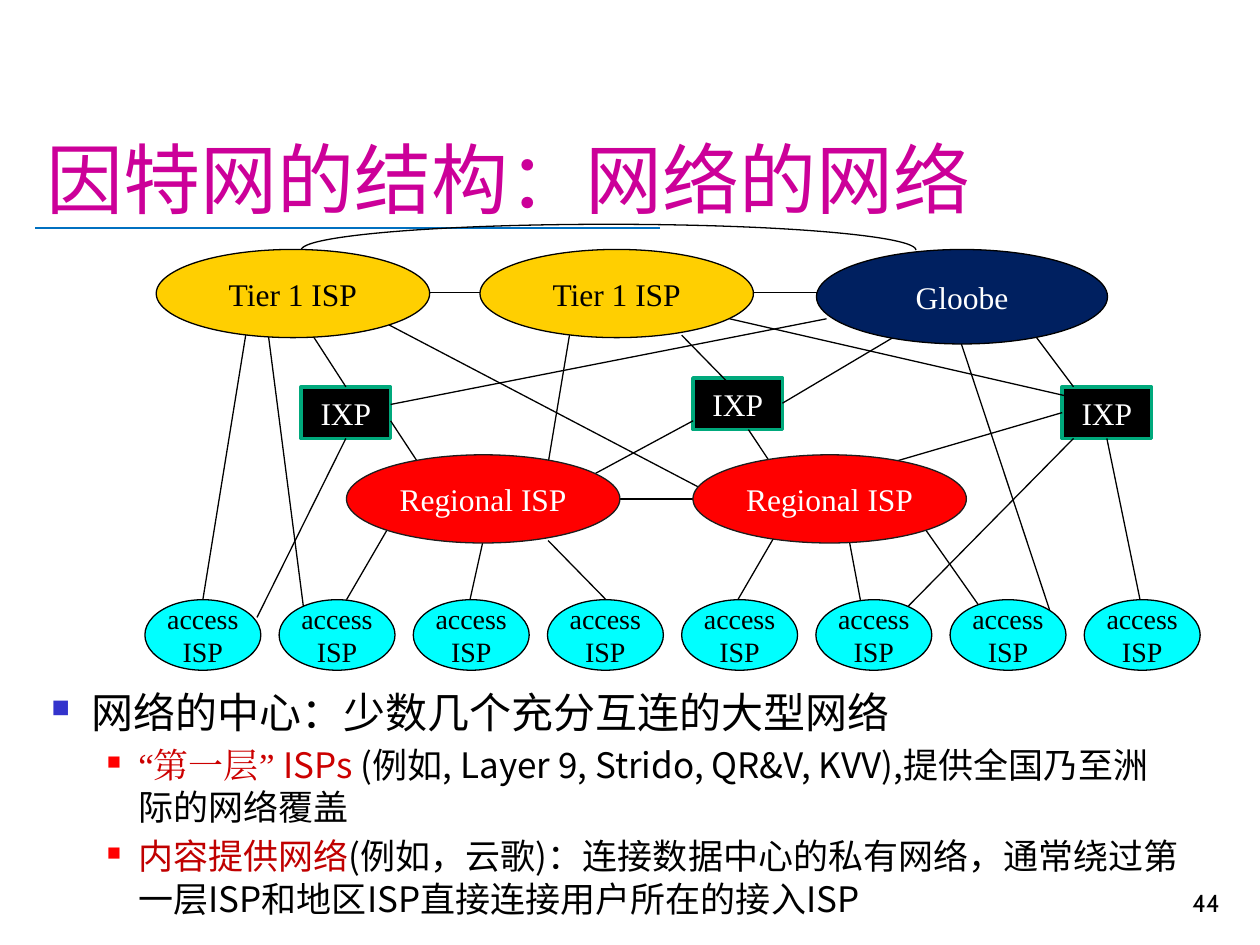
"""Build a slide on the layered structure of the Internet."""
from lxml import etree
from pptx import Presentation
from pptx.dml.color import RGBColor
from pptx.enum.shapes import MSO_CONNECTOR, MSO_SHAPE
from pptx.enum.text import MSO_ANCHOR, PP_ALIGN
from pptx.oxml.ns import qn
from pptx.util import Inches, Pt

STRAIGHT = MSO_CONNECTOR.STRAIGHT
RECTANGLE, ELLIPSE, ARC = MSO_SHAPE.RECTANGLE, MSO_SHAPE.OVAL, MSO_SHAPE.ARC
TOP, MIDDLE, BOTTOM = MSO_ANCHOR.TOP, MSO_ANCHOR.MIDDLE, MSO_ANCHOR.BOTTOM
LEFT, CENTER, RIGHT = PP_ALIGN.LEFT, PP_ALIGN.CENTER, PP_ALIGN.RIGHT
SITE_TOP, SITE_LEFT, SITE_BOTTOM = 0, 1, 2

TITLE_FONT, BODY_FONT, DIAGRAM_FONT = "Cabin", "Noto Sans CJK SC", "Times New Roman"
BLACK, WHITE = "000000", "FFFFFF"

TITLE = "因特网的结构：网络的网络"
PAGE_NUMBER = "44"
EXCHANGES = {"west": (2.39, 3.07), "middle": (5.5, 3), "east": (8.43, 3.07)}
NETWORKS = [
    ("Tier 1 ISP", (1.24, 1.98, 2.17, 0.7), "FFCF01", BLACK, BLACK),
    ("Tier 1 ISP", (3.81, 1.98, 2.17, 0.7), "FFCF01", BLACK, BLACK),
    ("Gloobe", (6.48, 1.98, 2.31, 0.75), "002060", BLACK, WHITE),
    ("Regional ISP", (2.75, 3.61, 2.17, 0.7), "FF0000", "1C1C1C", WHITE),
    ("Regional ISP", (5.5, 3.61, 2.17, 0.7), "FF0000", "1C1C1C", WHITE),
]
ACCESS_COUNT, ACCESS_LEFT, ACCESS_PITCH = 8, 1.15, 1.065
LINKS = [
    ((1.95, 2.66), (1.61, 4.76)),
    ((2.13, 2.66), (2.41, 4.83)),
    ((2.48, 2.66), ("west", SITE_TOP)),
    ((3.09, 2.58), (5.59, 3.89)),
    ((3.95, 2.32), (3.37, 2.32)),
    ((4.52, 2.66), (4.35, 3.68)),
    ((5.41, 2.66), (5.85, 3.11)),
    ((5.79, 2.53), (8.45, 3.14)),
    ((6.52, 2.32), (5.94, 2.32)),
    ((6.56, 2.53), (3.1, 3.21)),
    ((7.12, 2.66), (6.21, 3.2)),
    ((7.63, 2.73), (8.33, 4.84)),
    ((8.16, 2.59), (8.52, 3.07)),
    (("west", SITE_BOTTOM), (2.04, 4.9)),
    ((3.1, 3.34), (3.37, 3.75)),
    ((5.5, 3.34), (4.61, 3.82)),
    ((5.94, 3.41), (6.12, 3.68)),
    (("east", SITE_LEFT), (7.01, 3.69)),
    ((8.52, 3.48), (7.18, 4.84)),
    (("east", SITE_BOTTOM), (9.05, 4.77)),
    ((3.07, 4.21), (2.75, 4.76)),
    ((3.83, 4.31), (3.73, 4.76)),
    ((4.35, 4.29), (4.81, 4.76)),
    ((5.5, 3.96), (4.92, 3.96)),
    ((6.17, 4.22), (5.85, 4.77)),
    ((6.74, 4.29), (6.83, 4.77)),
    ((7.35, 4.21), (7.8, 4.85)),
]
POINTS = [
    (0, [("网络的中心：少数几个充分互连的大型网络", BLACK, BODY_FONT)]),
    (1, [("“第一层” ISPs ", "CC0000", DIAGRAM_FONT),
         ("(例如, Layer 9, Strido, QR&V, KVV),提供全国乃至洲际的网络覆盖", BLACK, BODY_FONT)]),
    (1, [("内容提供网络", "C00000", BODY_FONT),
         ("(例如，云歌)：连接数据中心的私有网络，通常绕过第一层ISP和地区ISP直接连接用户所在的接入ISP",
          BLACK, BODY_FONT)]),
]
LEVELS = [
    {"size": 24, "margin": 0.38, "indent": -0.32, "bullet": "3333CC", "scale": 60},
    {"size": 20, "margin": 0.75, "indent": -0.25, "bullet": "FF0000", "scale": 55},
]


def rgb(color):
    return RGBColor.from_string(color)


def add_text(paragraph, text, font=BODY_FONT, size=18, color=BLACK, east_asian_font=None):
    run = paragraph.add_run()
    run.text = text
    run.font.name = font
    run.font.size = Pt(size)
    run.font.color.rgb = rgb(color)
    east_asian = etree.SubElement(run.font._element, qn("a:ea"))
    east_asian.set("typeface", east_asian_font or font)


def write_lines(frame, text, align=CENTER, anchor=MIDDLE, wrap=True, **style):
    frame.word_wrap = wrap
    frame.vertical_anchor = anchor
    for index, line in enumerate(text.split("\n")):
        paragraph = frame.paragraphs[0] if index == 0 else frame.add_paragraph()
        paragraph.alignment = align
        add_text(paragraph, line, **style)


def add_box(slide, box):
    return slide.shapes.add_textbox(*map(Inches, box)).text_frame


def add_node(slide, kind, box, fill=None, line=BLACK, width=0.75):
    shape = slide.shapes.add_shape(kind, *map(Inches, box))
    shape.shadow.inherit = False
    if fill:
        shape.fill.solid()
        shape.fill.fore_color.rgb = rgb(fill)
    else:
        shape.fill.background()
    shape.line.color.rgb = rgb(line)
    shape.line.width = Pt(width)
    return shape


def add_link(slide, start, end, exchanges, color=BLACK, width=0.75):
    points = [(0, 0) if end_point[0] in exchanges else end_point for end_point in (start, end)]
    link = slide.shapes.add_connector(STRAIGHT, *(Inches(v) for point in points for v in point))
    for target, connect in ((start, link.begin_connect), (end, link.end_connect)):
        if target[0] in exchanges:
            connect(exchanges[target[0]], target[1])
    link.line.color.rgb = rgb(color)
    link.line.width = Pt(width)
    etree.SubElement(link._element.spPr, qn("a:effectLst"))


def add_bullet(paragraph, level):
    properties = paragraph._p.get_or_add_pPr()
    properties.set("marL", str(Inches(level["margin"])))
    properties.set("indent", str(Inches(level["indent"])))
    color = etree.SubElement(properties, qn("a:buClr"))
    etree.SubElement(color, qn("a:srgbClr")).set("val", level["bullet"])
    etree.SubElement(properties, qn("a:buSzPct")).set("val", str(level["scale"] * 1000))
    etree.SubElement(properties, qn("a:buChar")).set("char", "■")


def add_points(slide):
    frame = add_box(slide, (0.25, 5.4, 9.23, 2))
    frame.word_wrap = True
    frame.vertical_anchor = TOP
    for index, (depth, runs) in enumerate(POINTS):
        level = LEVELS[depth]
        paragraph = frame.paragraphs[0] if index == 0 else frame.add_paragraph()
        paragraph.level = depth
        add_bullet(paragraph, level)
        paragraph.alignment = LEFT
        if index:
            paragraph.space_before = Pt(level["size"] * 0.2)
        for text, color, east_asian_font in runs:
            add_text(paragraph, text, size=level["size"], color=color,
                     east_asian_font=east_asian_font)


def add_diagram(slide):
    exchanges = {}
    for name, (left, top) in EXCHANGES.items():
        node = add_node(slide, RECTANGLE, (left, top, 0.71, 0.41), BLACK, "00A97C", 2)
        write_lines(node.text_frame, "IXP", font=DIAGRAM_FONT, color=WHITE)
        exchanges[name] = node
    for start, end in LINKS:
        add_link(slide, start, end, exchanges)
    arc = add_node(slide, ARC, (2.39, 1.78, 4.88, 0.41))
    arc.adjustments[0], arc.adjustments[1] = 106.82, 0
    for text, box, fill, line, color in NETWORKS:
        node = add_node(slide, ELLIPSE, box, fill, line)
        write_lines(node.text_frame, text, wrap=False, font=DIAGRAM_FONT, color=color)
    for index in range(ACCESS_COUNT):
        box = (ACCESS_LEFT + index * ACCESS_PITCH, 4.76, 0.92, 0.56)
        node = add_node(slide, ELLIPSE, box, "00FFFF")
        write_lines(node.text_frame, "access\nISP", wrap=False, font=DIAGRAM_FONT, size=16)


def main():
    presentation = Presentation()
    presentation.slide_width, presentation.slide_height = Inches(10), Inches(7.5)
    slide = presentation.slides.add_slide(presentation.slide_layouts[6])
    add_link(slide, (0.28, 1.81), (5.24, 1.81), {}, color="0070C0", width=1.25)
    write_lines(add_box(slide, (0.27, 0.23, 9.51, 1.6)), TITLE, align=LEFT, anchor=BOTTOM,
                font=TITLE_FONT, size=44, color="CC0099")
    write_lines(add_box(slide, (7.7, 6.83, 2.08, 0.5)), PAGE_NUMBER, align=RIGHT,
                anchor=BOTTOM, font=TITLE_FONT, size=14)
    add_diagram(slide)
    add_points(slide)
    presentation.save("out.pptx")


if __name__ == "__main__":
    main()
